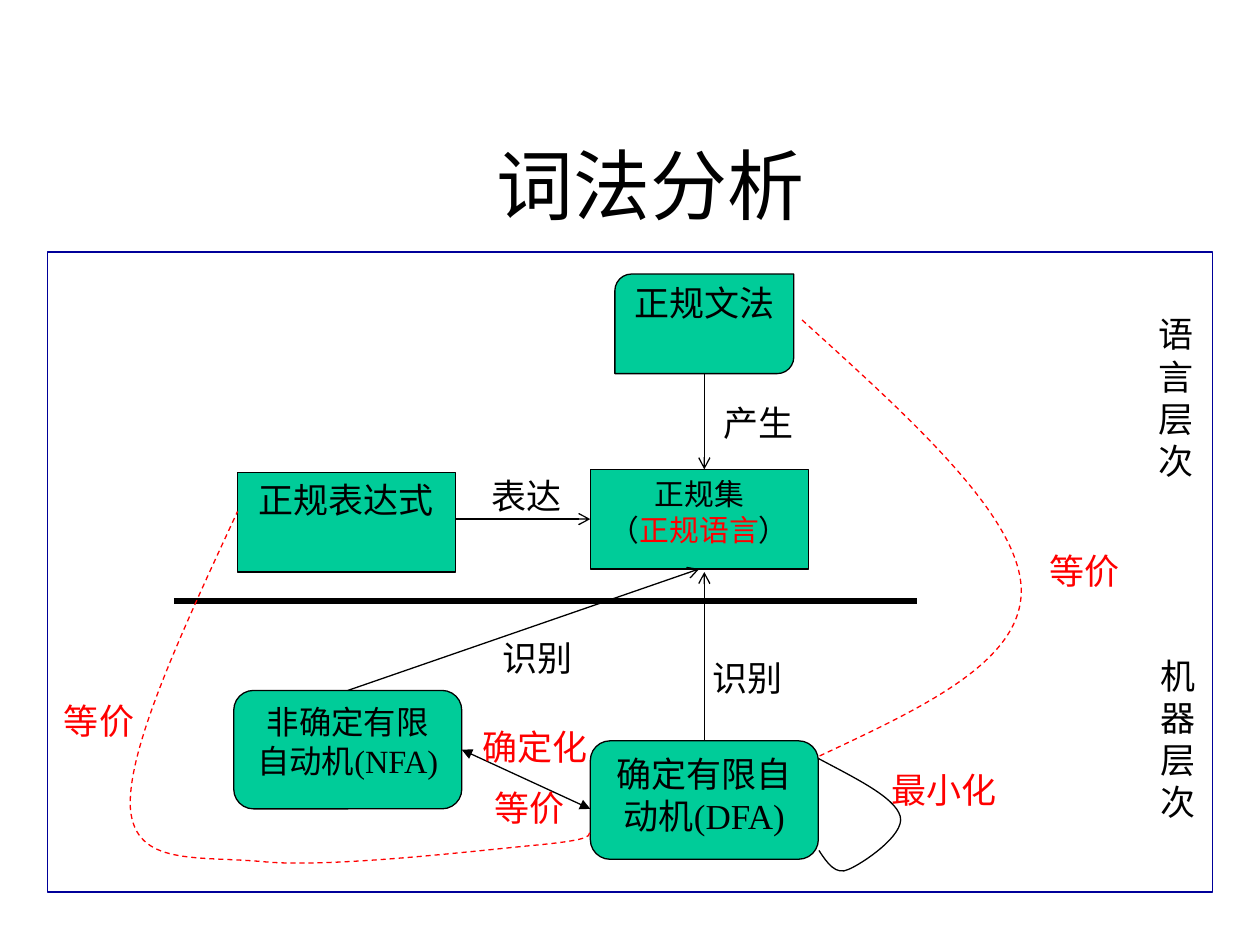
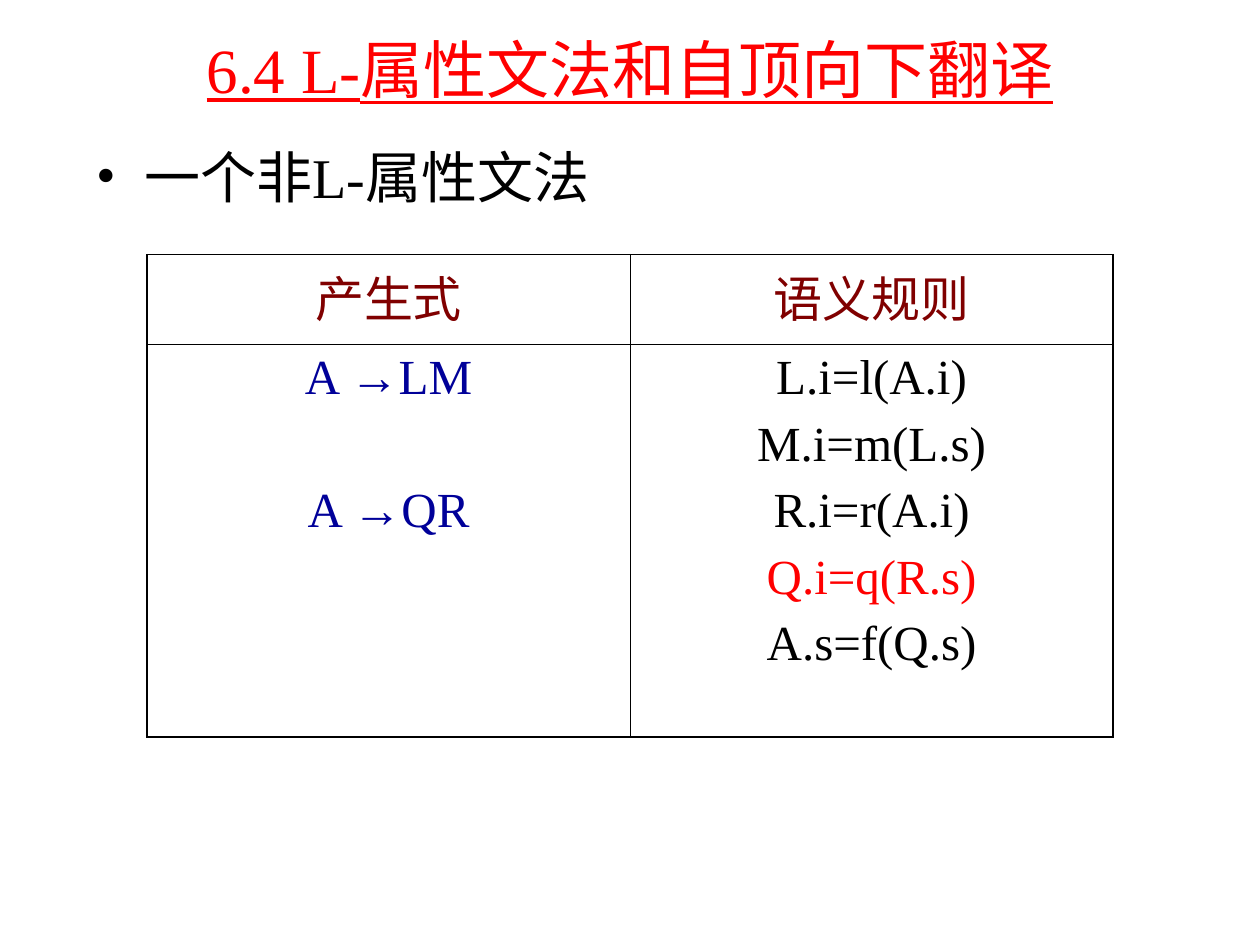
from dataclasses import dataclass

from lxml import etree
from pptx import Presentation
from pptx.dml.color import RGBColor
from pptx.enum.dml import MSO_LINE
from pptx.enum.shapes import MSO_CONNECTOR, MSO_SHAPE
from pptx.enum.text import MSO_ANCHOR, MSO_AUTO_SIZE, PP_ALIGN
from pptx.oxml.ns import qn
from pptx.util import Emu, Inches, Pt

COLORS = {"ink": "000000", "red": "FF0000", "green": "00CC99",
          "navy": "000099", "maroon": "800000"}
FONT = "Times New Roman"
WIDTH, HEIGHT = Inches(10), Inches(7.5)
COL, ROW = WIDTH / 100, HEIGHT / 75
TOP, LEFT, BOTTOM, RIGHT = range(4)


@dataclass
class Box:
    """Area of the slide measured in grid columns and rows."""
    x: float
    y: float
    w: float
    h: float

    def point(self, x, y):
        """Return the slide position of a point inside this box."""
        return Emu(round((self.x + x) * COL)), Emu(round((self.y + y) * ROW))

    def sub(self, x, y, w, h):
        """Return a box placed relative to this one."""
        return Box(self.x + x, self.y + y, w, h)

    def rect(self):
        """Return left, top, width and height on the slide."""
        return (*self.point(0, 0), Emu(round(self.w * COL)), Emu(round(self.h * ROW)))


def rgb(name):
    """Look up a colour by name."""
    return RGBColor.from_string(COLORS[name])


def write(tf, paragraphs, size=20, color="ink", align=PP_ALIGN.LEFT, gaps=(),
          underline=None, bullet=None, wrap=True, anchor=MSO_ANCHOR.TOP):
    """Fill a text frame with paragraphs, each a string or (text, colour) runs."""
    tf.word_wrap = wrap
    tf.vertical_anchor = anchor
    for i, runs in enumerate(paragraphs):
        p = tf.paragraphs[0] if i == 0 else tf.add_paragraph()
        if bullet:
            pPr = p._p.get_or_add_pPr()
            pPr.set("marL", str(Inches(0.38)))
            pPr.set("indent", str(-Inches(0.38)))
            etree.SubElement(pPr, qn("a:buFont")).set("typeface", FONT)
            etree.SubElement(pPr, qn("a:buChar")).set("char", bullet)
        p.alignment = align
        if i and gaps:
            p.space_before = Pt(gaps[i - 1])
        for text, run_color in [(runs, color)] if isinstance(runs, str) else runs:
            r = p.add_run()
            r.text = text
            r.font.name, r.font.size = FONT, Pt(size)
            r.font.underline = underline
            r.font.color.rgb = rgb(run_color)


def add_title(s, box, text, **fmt):
    """Place and format the title placeholder."""
    sp = s.shapes.title
    sp.left, sp.top, sp.width, sp.height = box.rect()
    write(sp.text_frame, [text], align=PP_ALIGN.CENTER, anchor=MSO_ANCHOR.MIDDLE, **fmt)
    sp.text_frame.auto_size = MSO_AUTO_SIZE.NONE


def style(sp, fill=None, line="ink", dash=False):
    """Set the fill and outline of a shape."""
    sp.shadow.inherit = False
    if fill:
        sp.fill.solid()
        sp.fill.fore_color.rgb = rgb(fill)
    else:
        sp.fill.background()
    sp.line.color.rgb = rgb(line)
    sp.line.width = Pt(0.75)
    if dash:
        sp.line.dash_style = MSO_LINE.DASH


def add_node(s, box, kind, paragraphs, size=20):
    """Add a green node of the diagram."""
    sp = s.shapes.add_shape(kind, *box.rect())
    style(sp, "green")
    write(sp.text_frame, paragraphs, size=size, align=PP_ALIGN.CENTER)
    return sp


def add_label(s, box, paragraphs, color="ink"):
    """Add an unwrapped text label."""
    tf = s.shapes.add_textbox(*box.rect()).text_frame
    write(tf, paragraphs, color=color, wrap=False)
    tf.auto_size = MSO_AUTO_SIZE.SHAPE_TO_FIT_TEXT


def add_line(s, start, end, begin=None, finish=None, head=None, tail=None, width=0.75):
    """Add a straight line, joined to (shape, side) pairs where given."""
    c = s.shapes.add_connector(MSO_CONNECTOR.STRAIGHT, *start, *end)
    if begin:
        c.begin_connect(*begin)
    if finish:
        c.end_connect(*finish)
    c.line.color.rgb = rgb("ink")
    c.line.width = Pt(width)
    ln = c.line._get_or_add_ln()
    for tag, kind in (("a:headEnd", head), ("a:tailEnd", tail)):
        if kind:
            etree.SubElement(ln, qn(tag)).set("type", kind)
    etree.SubElement(c._element.spPr, qn("a:effectLst"))


def add_curve(s, box, points, **fmt):
    """Draw chained cubic curves through a start and triples of points."""
    start, *track = [box.point(*point) for point in points]
    builder = s.shapes.build_freeform(*start)
    builder.add_line_segments(track, close=False)
    sp = builder.convert_to_shape()
    outline = next(sp._element.iter(qn("a:path")))
    segments = outline.findall(qn("a:lnTo"))
    for i in range(0, len(segments), 3):
        curve = etree.SubElement(outline, qn("a:cubicBezTo"))
        for segment in segments[i:i + 3]:
            curve.append(segment[0])
            outline.remove(segment)
    style(sp, **fmt)


def add_diagram(s, box):
    """Draw the framed map of grammars, expressions and automata."""
    style(s.shapes.add_shape(MSO_SHAPE.RECTANGLE, *box.rect()), line="navy")
    at = box.point

    nfa = add_node(s, box.sub(14.8, 34.8, 18.1, 9.4), MSO_SHAPE.ROUNDED_RECTANGLE,
                   ["非确定有限自动机(NFA)"], size=18.5)
    dfa = add_node(s, box.sub(43.1, 38.8, 18.1, 9.4), MSO_SHAPE.ROUNDED_RECTANGLE,
                   ["确定有限自动机(DFA)"])
    add_line(s, at(10.05, 27.7), at(69.05, 27.7), width=3)
    add_node(s, box.sub(15.1, 17.5, 17.3, 7.9), MSO_SHAPE.RECTANGLE, ["正规表达式"])
    regular_set = add_node(
        s, box.sub(43.1, 17.25, 17.3, 7.9), MSO_SHAPE.RECTANGLE,
        ["正规集", [("（", "ink"), ("正规语言", "red"), ("）", "ink")]], size=17)
    grammar = add_node(s, box.sub(45.05, 1.75, 14.2, 7.9),
                       MSO_SHAPE.ROUND_2_DIAG_RECTANGLE, ["正规文法"])
    grammar.text_frame.margin_top = Inches(0.02)

    add_line(s, at(52.15, 9.65), at(52.15, 17.25), begin=(grammar, BOTTOM), tail="arrow")
    add_line(s, at(32.4, 21.2), at(43.1, 21.2), finish=(regular_set, LEFT), tail="arrow")
    add_line(s, at(23.85, 34.8), at(51.75, 25.15), begin=(nfa, TOP),
             finish=(regular_set, BOTTOM), tail="arrow")
    add_line(s, at(52.15, 38.8), at(52.15, 25.4), begin=(dfa, TOP), tail="arrow")
    add_line(s, at(32.9, 39.5), at(43.1, 44.2), begin=(nfa, RIGHT),
             head="triangle", tail="triangle")

    for text, x, y, color in (
            ("产生", 52.65, 11.4, "ink"), ("表达", 34.25, 17.2, "ink"),
            ("识别", 35.15, 30, "ink"), ("识别", 51.85, 31.6, "ink"),
            ("等价", 34.55, 41.9, "red"), ("确定化", 33.55, 37.1, "red"),
            ("最小化", 66.05, 40.5, "red"), ("等价", 78.55, 23.1, "red"),
            ("等价", 0.35, 35, "red")):
        add_label(s, box.sub(x, y, 2 + 2.8 * len(text), 4.4), [text], color)
    for text, x, y in (("语言层次", 87.2, 4.35), ("机器层次", 87.35, 31.45)):
        add_label(s, box.sub(x, y, 4.8, 14.4), list(text))

    add_curve(s, box, [(61.25, 47.5), (61.9, 48.5), (62.6, 49.5), (63.6, 49),
                       (64.6, 48.6), (68.1, 46.3), (67.7, 44.8),
                       (67.3, 43.3), (64.2, 41.8), (61.2, 40.2)])
    add_curve(s, box, [(61.3, 40), (69.4, 36.2), (77.5, 32.5), (77.3, 26.7),
                       (77.1, 20.9), (68.4, 13.1), (59.8, 5.3)], line="red", dash=True)
    add_curve(s, box, [(43.05, 46.1), (43, 46.4), (42.9, 46.7), (38.6, 47.1),
                       (34.3, 47.5), (22.5, 48.9), (17.2, 48.4),
                       (11.9, 47.9), (7, 48.8), (6.6, 44.2),
                       (6.3, 39.5), (10.7, 30.1), (15.1, 20.6)], line="red", dash=True)


def set_border(cell, side, width):
    """Give one side of a cell a solid black border."""
    ln = etree.SubElement(cell._tc.get_or_add_tcPr(), qn(f"a:ln{side}"))
    ln.set("w", str(Pt(width)))
    fill = etree.SubElement(ln, qn("a:solidFill"))
    etree.SubElement(fill, qn("a:srgbClr")).set("val", COLORS["ink"])


def add_rules_table(s, box):
    """Add the table of productions and semantic rules."""
    table = s.shapes.add_table(2, 2, *box.rect()).table
    table.first_row = table.horz_banding = False
    for row, rows in zip(table.rows, (7.2, box.h - 7.2)):
        row.height = Emu(round(rows * ROW))
    content = (
        (["产生式"], "maroon", ()),
        (["语义规则"], "maroon", ()),
        (["A →LM", "A →QR"], "navy", (45,)),
        (["L.i=l(A.i)", "M.i=m(L.s)", "R.i=r(A.i)", [("Q.i=q(R.s)", "red")],
          "A.s=f(Q.s)"], "ink", (7,) * 4))
    thin, thick = 0.45, 1.08
    for i, (cell, (lines, color, gaps)) in enumerate(zip(table.iter_cells(), content)):
        row, col = divmod(i, 2)
        for side, width in (("L", thin if col else thick), ("R", thick if col else thin),
                            ("T", thin), ("B", thick if row else thin)):
            set_border(cell, side, width)
        cell.fill.background()
        cell.margin_left = cell.margin_right = Inches(0.1)
        write(cell.text_frame, lines, size=28, color=color, gaps=gaps,
              align=PP_ALIGN.CENTER)


def lexical_slide(prs, box):
    """Build the slide on lexical analysis."""
    s = prs.slides.add_slide(prs.slide_layouts[5])
    add_title(s, box.sub(9.17, 8.33, 85, 12.5), "词法分析", size=44)
    add_diagram(s, box.sub(3.75, 20, 92.5, 50.8))


def attribute_slide(prs, box):
    """Build the slide on L-attributed grammars."""
    s = prs.slides.add_slide(prs.slide_layouts[5])
    add_title(s, box.sub(7.5, 2.5, 85, 5.8), "6.4 L-属性文法和自顶向下翻译",
              size=36, color="red", underline=True)
    sp = s.shapes.add_textbox(*box.sub(6.65, 10.8, 85.8, 8.3).rect())
    write(sp.text_frame, ["一个非L-属性文法"], size=32, bullet="•")
    add_rules_table(s, box.sub(11.67, 20.17, 76.67, 38.33))


def main():
    """Build and save the presentation."""
    prs = Presentation()
    prs.slide_width, prs.slide_height = WIDTH, HEIGHT
    page = Box(0, 0, 100, 75)
    lexical_slide(prs, page)
    attribute_slide(prs, page)
    prs.save("out.pptx")


if __name__ == "__main__":
    main()
